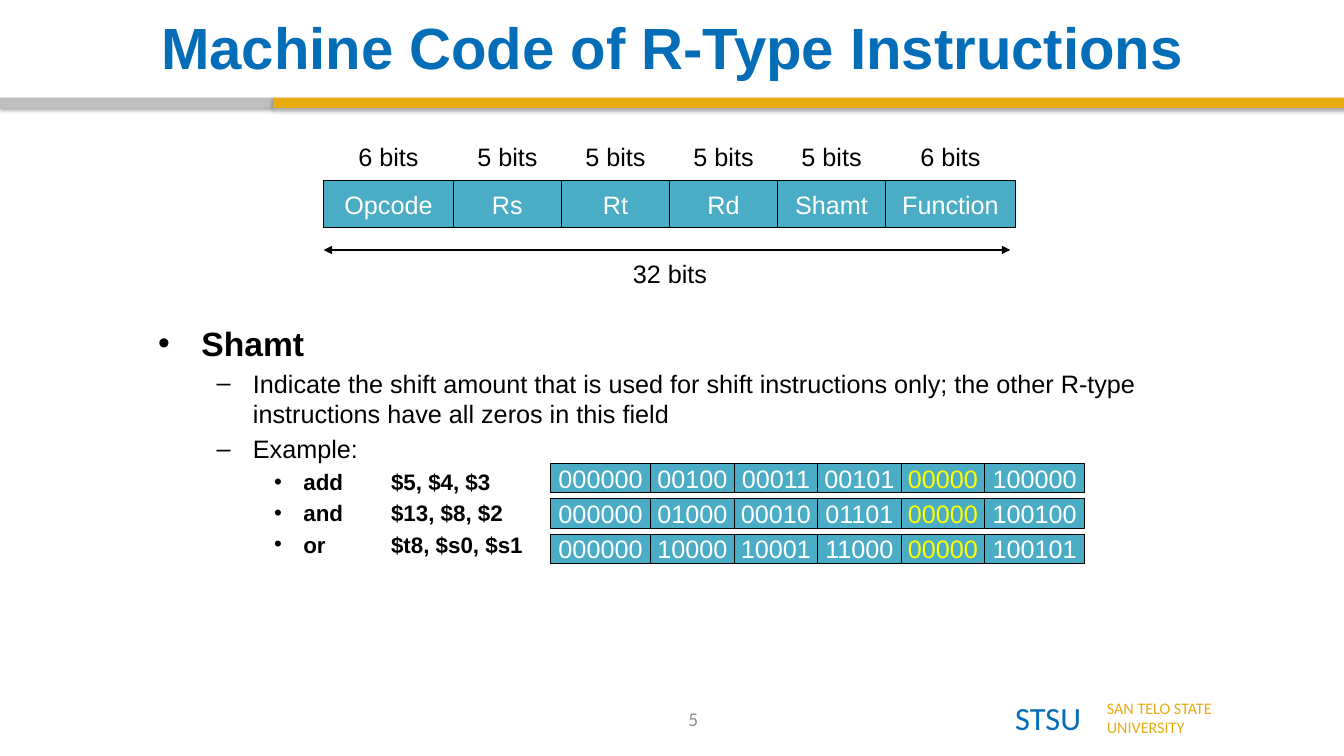
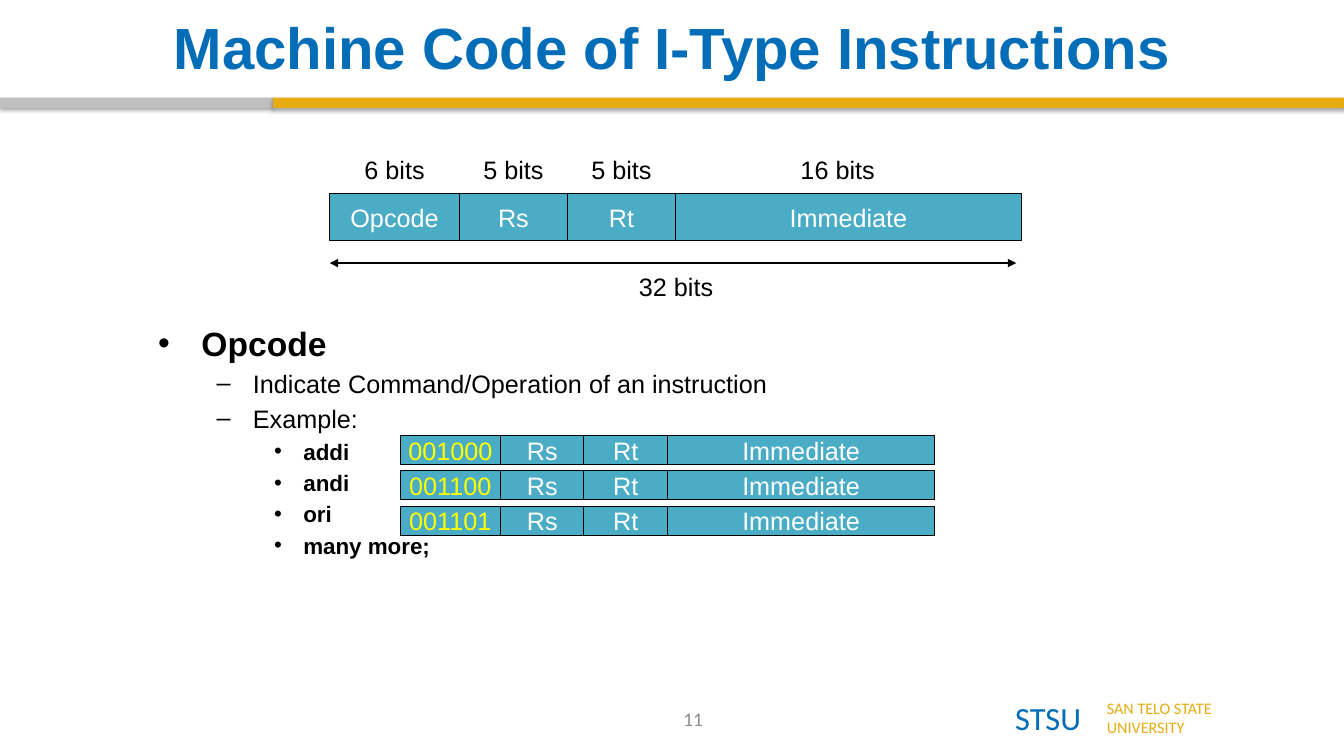
import pptx
import pptx.util
import pptx.dml.color
import pptx.enum.shapes
import pptx.enum.text
import pptx.oxml
import pptx.oxml.ns
import lxml.etree

Inches = pptx.util.Inches
Pt = pptx.util.Pt
RGB = pptx.dml.color.RGBColor.from_string
Shape = pptx.enum.shapes.MSO_SHAPE
Align = pptx.enum.text.PP_ALIGN
Anchor = pptx.enum.text.MSO_ANCHOR
qn = pptx.oxml.ns.qn
sub = lxml.etree.SubElement

COLORS = {
    "blue": "036DB7", "gold": "E7AC11", "gray": "BFBFBF", "dim": "8C8C8C",
    "teal": "4BACC6", "black": "000000", "white": "FFFFFF", "hot": "FFFF00",
}
WORD = 32  # bits in one instruction
BANDS = [(0, 2.71, "gray"), (2.71, 10.62, "gold")]
# Body levels: indent, hanging, size, bold, bullet
LEVELS = [
    (0.43, 0.43, 24, True, "•"),
    (0.94, 0.36, 18, False, "–"),
    (1.44, 0.29, 16, True, "•"),
]
TAB = 0.87  # operands, measured from the deepest indent

SLIDES = [
    {
        "title": "Machine Code of R-Type Instructions", "page": "5",
        "left": 3.21, "top": 1.32,
        "fields": [("Opcode", 6), ("Rs", 5), ("Rt", 5), ("Rd", 5),
                   ("Shamt", 5), ("Function", 6)],
        "body": [
            (0, "Shamt"),
            (1, "Indicate the shift amount that is used for shift instructions "
                "only; the other R-type instructions have all zeros in this field"),
            (1, "Example:"),
            (2, "add\t$5, $4, $3"),
            (2, "and\t$13, $8, $2"),
            (2, "or\t$t8, $s0, $s1"),
        ],
        "code": (5.46, 4.6), "hot": 4,
        "rows": ["000000 00100 00011 00101 00000 100000",
                 "000000 01000 00010 01101 00000 100100",
                 "000000 10000 10001 11000 00000 100101"],
    },
    {
        "title": "Machine Code of I-Type Instructions", "page": "11",
        "left": 3.27, "top": 1.45,
        "fields": [("Opcode", 6), ("Rs", 5), ("Rt", 5), ("Immediate", 16)],
        "body": [
            (0, "Opcode"),
            (1, "Indicate Command/Operation of an instruction"),
            (1, "Example:"),
            (2, "addi"), (2, "andi"), (2, "ori"), (2, "many more;"),
        ],
        "code": (3.97, 4.32), "hot": 0,
        "rows": ["001000 Rs Rt Immediate",
                 "001100 Rs Rt Immediate",
                 "001101 Rs Rt Immediate"],
    },
]


def put(slide, text, x, y, w, h, size=18, font="Arial", color="black",
        bold=False, fill=None, align=Align.CENTER, anchor=Anchor.MIDDLE,
        wrap=False):
    """Add text at a place, in a bordered box if a fill is given."""
    place = [Inches(v) for v in (x, y, w, h)]
    if fill:
        box = slide.shapes.add_shape(Shape.RECTANGLE, *place)
        box.shadow.inherit = False
        box.fill.solid()
        box.fill.fore_color.rgb = RGB(COLORS[fill])
        box.line.color.rgb = RGB(COLORS["black"])
        box.line.width = Pt(0.75)
    else:
        box = slide.shapes.add_textbox(*place)
    frame = box.text_frame
    frame.word_wrap = wrap
    frame.vertical_anchor = anchor
    frame.text = text
    for para in frame.paragraphs:
        para.alignment = align
        for run in para.runs:
            run.font.name = font
            run.font.size = Pt(size)
            run.font.bold = bold
            run.font.color.rgb = RGB(COLORS[color])
    return frame


deck = pptx.Presentation()
deck.slide_width = Inches(13.33)
deck.slide_height = Inches(7.5)

for data in SLIDES:
    slide = deck.slides.add_slide(deck.slide_layouts[6])

    # Footer
    put(slide, "STSU", 9.97, 6.88, 0.91, 0.49, size=23.1, font="Calibri",
        color="blue", align=Align.LEFT, anchor=Anchor.TOP)
    put(slide, "SAN TELO STATE\nUNIVERSITY", 10.88, 6.88, 1.4, 0.49, size=11.5,
        font="Calibri", color="gold", align=Align.LEFT, anchor=Anchor.TOP)
    put(slide, data["page"], 5.32, 6.93, 3.11, 0.4, size=13.8, font="Calibri",
        color="dim", wrap=True)

    # Bands with a soft shadow
    for x, w, color in BANDS:
        band = slide.shapes.add_shape(
            Shape.RECTANGLE, Inches(x), Inches(0.97), Inches(w), Inches(0.1))
        band.fill.solid()
        band.fill.fore_color.rgb = RGB(COLORS[color])
        band.line.fill.background()
        band.shadow.inherit = False
        effect = band.fill._xPr.find(qn("a:effectLst"))
        shade = sub(effect, qn("a:outerShdw"), blurRad=str(Pt(3.1)),
                    dist=str(Pt(1.8)), dir="5400000", rotWithShape="0")
        tint = sub(shade, qn("a:srgbClr"), val=COLORS["black"])
        sub(tint, qn("a:alpha"), val="35000")

    # Title
    put(slide, data["title"], 0.67, 0.08, 12, 0.76, size=41.5, color="blue",
        bold=True, wrap=True)

    # Body outline
    frame = put(slide, "\n".join(text for level, text in data["body"]),
                1.47, 3.15, 10.38, 3.69, align=Align.LEFT, anchor=Anchor.TOP,
                wrap=True)
    for para, (level, text) in zip(frame.paragraphs, data["body"]):
        indent, hang, size, bold, mark = LEVELS[level]
        para.level = level
        for run in para.runs:
            run.font.size = Pt(size)
            run.font.bold = bold
        props = para._p.get_or_add_pPr()
        props.set("marL", str(Inches(indent)))
        props.set("indent", str(-Inches(hang)))
        space = sub(props, qn("a:spcBef"))
        sub(space, qn("a:spcPct"), val="20000")
        sub(props, qn("a:buFont"), typeface="Arial")
        sub(props, qn("a:buChar"), char=mark)
        if "\t" in text:
            tabs = sub(props, qn("a:tabLst"))
            sub(tabs, qn("a:tab"), pos=str(Inches(indent + TAB)), algn="l")

    # Instruction format: widths follow the bit counts
    left, top = data["left"], data["top"]
    unit = 6.86 / WORD
    x = left
    for name, bits in data["fields"]:
        span = min(bits, 15)  # the widest label sits a little to the left
        put(slide, f"{bits} bits", x, top, span * unit, 0.47)
        put(slide, name, x, top + 0.47, bits * unit, 0.47, color="white",
            fill="teal")
        x += bits * unit

    # Word width arrow
    level = Inches(top + 1.16)
    put(slide, f"{WORD} bits", left + 2.79, top + 1.16, 1.29, 0.47)
    arrow = slide.shapes.add_connector(
        pptx.enum.shapes.MSO_CONNECTOR.STRAIGHT,
        Inches(left), level, Inches(left + 6.81), level)
    arrow.line.color.rgb = RGB(COLORS["black"])
    arrow.line.width = Pt(2)
    stroke = arrow.line._get_or_add_ln()
    for end in ("a:headEnd", "a:tailEnd"):
        sub(stroke, qn(end), type="triangle")
    sub(stroke.getparent(), qn("a:effectLst"))

    # Encoded examples
    left, top = data["code"]
    unit = 5.3 / WORD
    for i, row in enumerate(data["rows"]):
        x = left
        for j, (text, field) in enumerate(zip(row.split(), data["fields"])):
            w = field[1] * unit
            put(slide, text, x, top + 0.35 * i, w, 0.29, fill="teal",
                color="hot" if j == data["hot"] else "white")
            x += w

deck.save("out.pptx")
